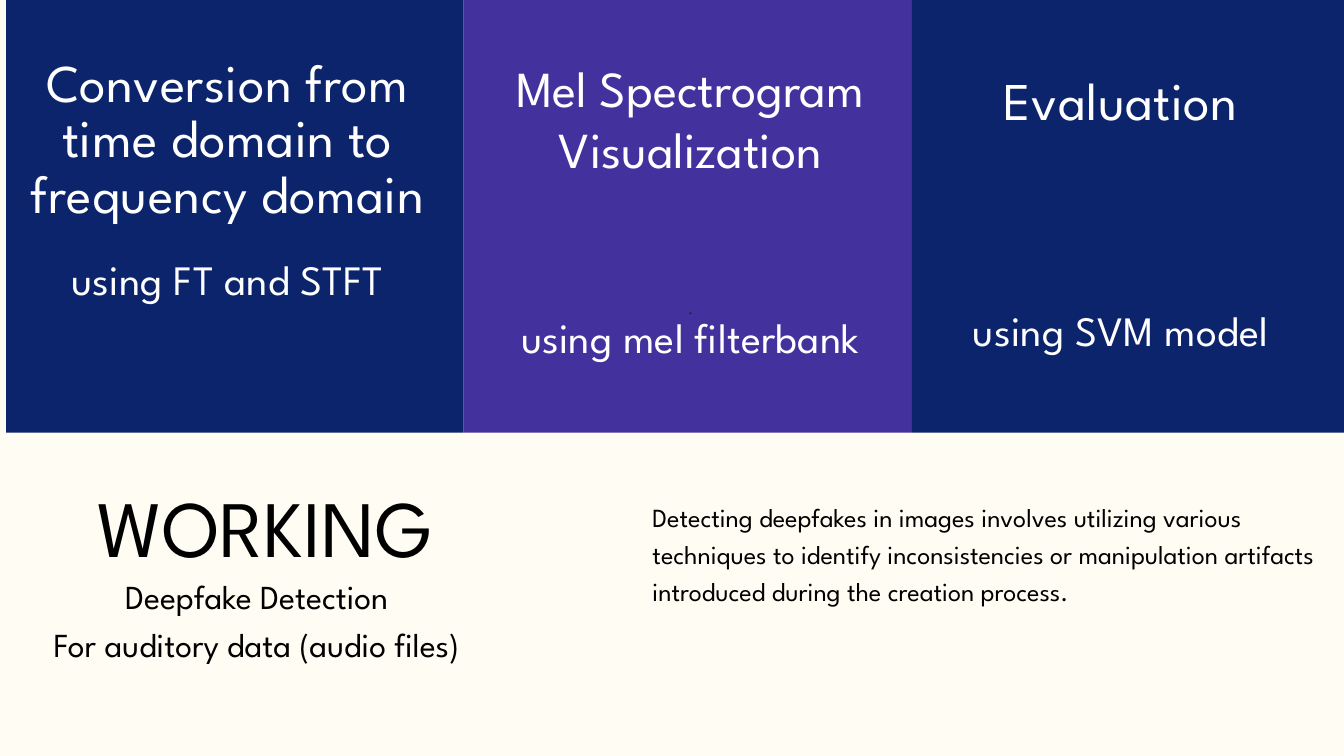
import itertools
from dataclasses import dataclass

import pptx
import pptx.dml.color
import pptx.enum.shapes
import pptx.enum.text
import pptx.util

Pt = pptx.util.Pt
Align = pptx.enum.text.PP_ALIGN


@dataclass(frozen=True)
class Theme:
    cream: str = "FFFCF3"
    navy: str = "0C246B"
    violet: str = "43319D"
    black: str = "000000"
    white: str = "FFFFFF"
    gray: str = "1F1F1F"
    sans: str = "League Spartan"
    serif: str = "Times New Roman"
    title: float = 85.7
    head: float = 56.8
    mid: float = 54
    note: float = 44.8
    label: float = 36
    body: float = 28
    dot: float = 18


THEME = Theme()


@dataclass(frozen=True)
class Line:
    text: str
    size: float
    color: str
    pitch: float | None = None
    gap: float = 0
    track: int = 0
    font: str = THEME.sans


@dataclass(frozen=True)
class Block:
    left: float
    top: float
    width: float
    height: float
    lines: tuple[Line, ...]
    align: Align = Align.CENTER


def head(text: str) -> Line:
    return Line(text, THEME.head, THEME.white, 59.6, track=50)


def note(text: str, gap: float = 0) -> Line:
    return Line(text, THEME.note, THEME.white, 47, gap, 30)


def mid(text: str) -> Line:
    return Line(text, THEME.mid, THEME.white)


def label(text: str) -> Line:
    return Line(text, THEME.label, THEME.black, 51.4)


EDGES = (0.45, 34.5, 67.85, 100)
FILLS = (THEME.navy, THEME.violet, THEME.navy)
DEPTH = 57.24
BLANK = 38.6

BLOCKS = (
    Block(0.85, 63.2, 37.75, 12, (Line("WORKING", THEME.title, THEME.black, 102.8),)),
    Block(48.55, 65.69, 51.35, 19.02, (
        Line("Detecting deepfakes in images involves utilizing various techniques "
             "to identify inconsistencies or manipulation artifacts introduced "
             "during the creation process.", THEME.body, THEME.black, 39.2),
    ), Align.LEFT),
    Block(-0.6, 75.11, 39.4, 12.09, (
        label("Deepfake Detection"),
        label("For auditory data (audio files)"),
    )),
    Block(0.85, 7.56, 32.2, 40.62, (
        head("Conversion from time domain to frequency domain"),
        note("using FT and STFT", BLANK),
    )),
    Block(34.9, 7.56, 32.95, 40.89, (
        mid("Mel Spectrogram"),
        mid("Visualization"),
        Line(".", THEME.dot, THEME.gray, gap=128, font=THEME.serif),
        note("using mel filterbank"),
    )),
    Block(67.3, 9.96, 32.2, 37.69, (
        head("Evaluation"),
        note("using SVM model", 5 * BLANK),
    )),
)


def rgb(color: str) -> pptx.dml.color.RGBColor:
    return pptx.dml.color.RGBColor.from_string(color)


def apply(item: object, values: dict[str, object]) -> None:
    for name, value in values.items():
        setattr(item, name, value)


class Board:
    def __init__(self) -> None:
        self.deck = pptx.Presentation()
        self.deck.slide_width = pptx.util.Inches(20)
        self.deck.slide_height = pptx.util.Inches(11.25)
        self.slide = self.deck.slides.add_slide(self.deck.slide_layouts[6])
        fill = self.slide.background.fill
        fill.solid()
        fill.fore_color.rgb = rgb(THEME.cream)

    def place(self, left: float, top: float, width: float, height: float) -> list[int]:
        wide, high = self.deck.slide_width, self.deck.slide_height
        pairs = ((left, wide), (top, high), (width, wide), (height, high))
        return [round(share * size / 100) for share, size in pairs]

    def panel(self, left: float, right: float, color: str) -> None:
        shape = self.slide.shapes.add_shape(
            pptx.enum.shapes.MSO_SHAPE.RECTANGLE,
            *self.place(left, 0, right - left, DEPTH))
        shape.shadow.inherit = False
        shape.fill.solid()
        shape.fill.fore_color.rgb = rgb(color)
        shape.line.fill.background()

    def block(self, block: Block) -> None:
        area = self.place(block.left, block.top, block.width, block.height)
        frame = self.slide.shapes.add_textbox(*area).text_frame
        apply(frame, {
            "word_wrap": True,
            "auto_size": pptx.enum.text.MSO_AUTO_SIZE.SHAPE_TO_FIT_TEXT,
            "margin_left": 0, "margin_right": 0,
            "margin_top": 0, "margin_bottom": 0,
        })
        for index, line in enumerate(block.lines):
            para = frame.add_paragraph() if index else frame.paragraphs[0]
            apply(para, {
                "alignment": block.align,
                "line_spacing": Pt(line.pitch) if line.pitch else None,
                "space_before": Pt(line.gap) if line.gap else None,
            })
            run = para.add_run()
            run.text = line.text
            apply(run.font, {"name": line.font, "size": Pt(line.size)})
            run.font.color.rgb = rgb(line.color)
            if line.track:
                run._r.get_or_add_rPr().set("spc", str(line.track))


def main() -> None:
    board = Board()
    for (left, right), color in zip(itertools.pairwise(EDGES), FILLS):
        board.panel(left, right, color)
    for block in BLOCKS:
        board.block(block)
    board.deck.save("out.pptx")


if __name__ == "__main__":
    main()
